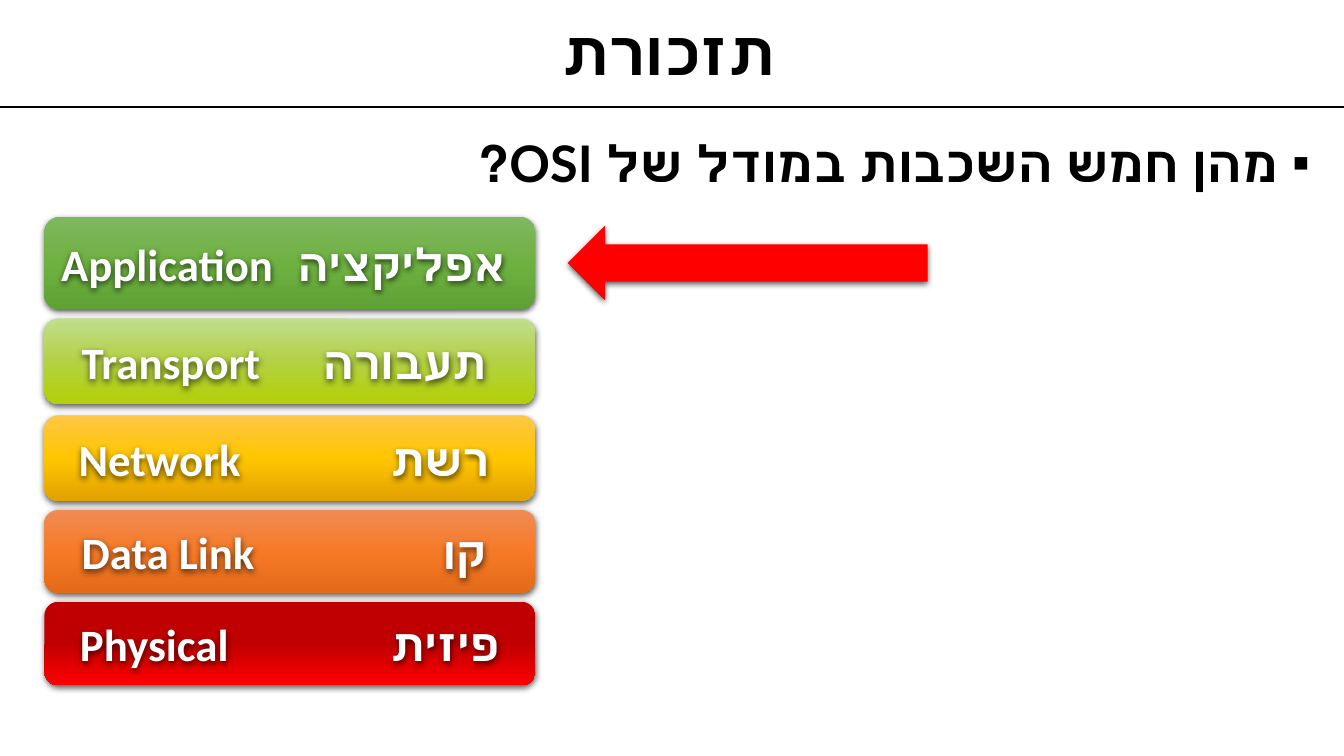
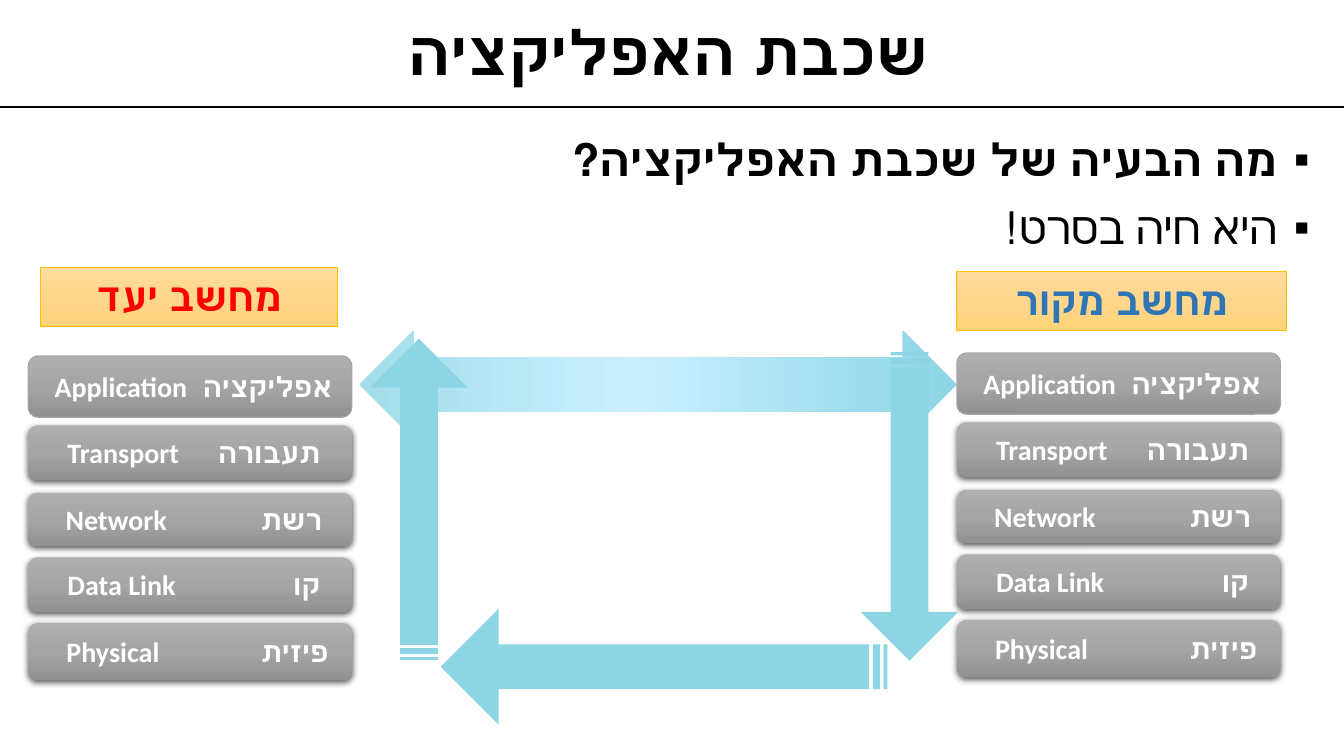
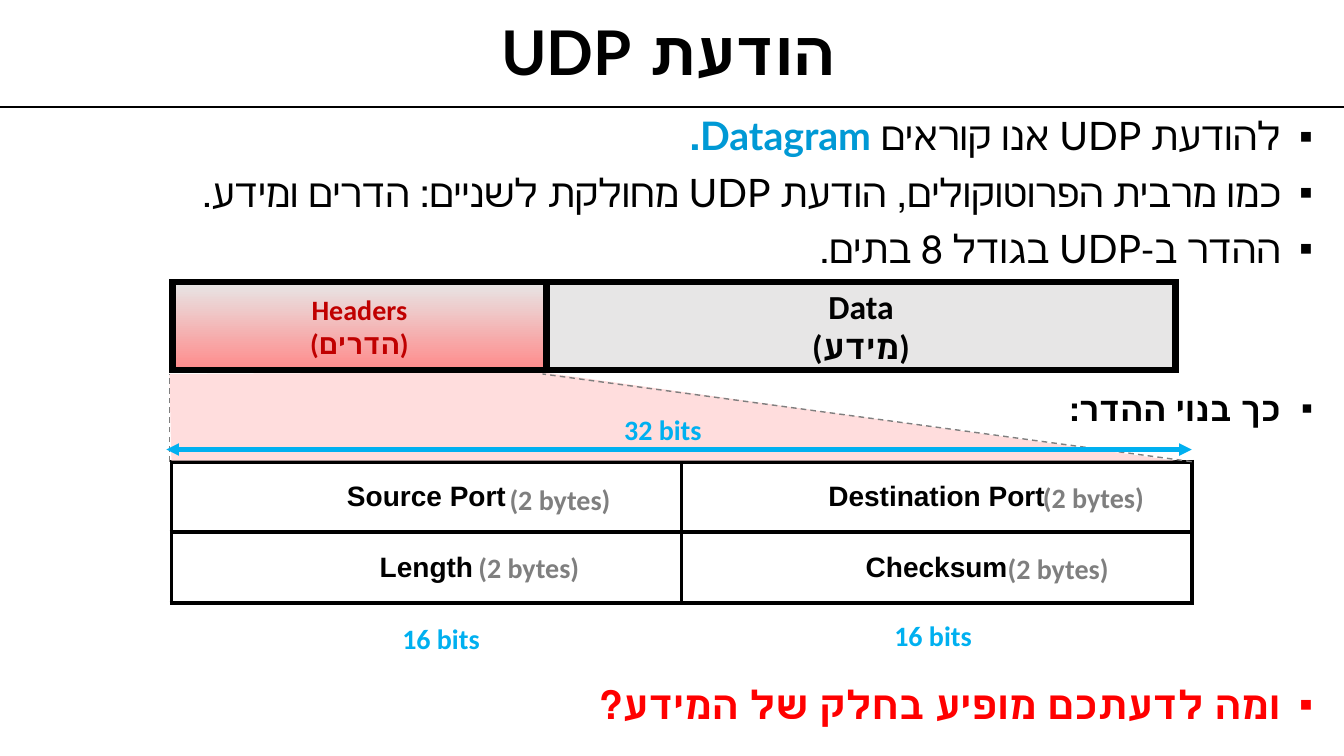
from pptx import Presentation
from pptx.dml.color import RGBColor
from pptx.enum.dml import MSO_LINE
from pptx.enum.shapes import MSO_CONNECTOR, MSO_SHAPE
from pptx.enum.text import MSO_ANCHOR, MSO_AUTO_SIZE, PP_ALIGN
from pptx.oxml.ns import qn
from pptx.util import Inches, Pt
from lxml import etree

LEFT, CENTER, RIGHT = PP_ALIGN.LEFT, PP_ALIGN.CENTER, PP_ALIGN.RIGHT
TOP, MIDDLE = MSO_ANCHOR.TOP, MSO_ANCHOR.MIDDLE
RECTANGLE, ROUNDED = MSO_SHAPE.RECTANGLE, MSO_SHAPE.ROUNDED_RECTANGLE
STRIPED_ARROW = MSO_SHAPE.STRIPED_RIGHT_ARROW
LEFT_ARROW, TWO_WAY_ARROW = MSO_SHAPE.LEFT_ARROW, MSO_SHAPE.LEFT_RIGHT_ARROW
STRAIGHT, DASH = MSO_CONNECTOR.STRAIGHT, MSO_LINE.DASH

COLORS = {
    "black": "000000", "white": "FFFFFF", "red": "FF0000", "dark_red": "C00000",
    "blue": "2E75B5", "term": "0099D5", "bits": "00B0F0", "gray": "7F7F7F",
    "bar_line": "A5A5A5", "gold": "FFC000", "aqua": "8DD5E4",
    "data": "E7E6E6", "zoom": "FFDDDD",
}
GRADIENTS = {
    "green": [(0, "7FB75F"), (50, "6EB141"), (100, "5FA134")],
    "lime": [(0, "C0DE8E"), (50, "B3D143"), (100, "B3D006")],
    "yellow": [(0, "FFC647"), (50, "FFC600"), (100, "E1A101")],
    "orange": [(0, "F08B54"), (50, "F67A26"), (100, "E36A18")],
    "red": [(0, "C00000"), (50, "C00000"), (100, "FF0000")],
    "gray": [(0, "AFAFAF"), (50, "A5A5A5"), (100, "919191")],
    "aqua": [(0, "8DD5E4"), (54, "C9F0FF"), (100, "A3DDE9")],
    "cream": [(0, "FFDC9B"), (50, "FFD68D"), (100, "FFD478")],
    "headers": [(0, "E7E6E6"), (100, "FF8B8B")],
}
SLIDE_WIDTH, SLIDE_HEIGHT = 13.33, 7.5
HEADING_FONT, LABEL_FONT, TABLE_FONT = "Lato", "Calibri", "Arial"

# Content: layer names, with span and right shift in ems
LAYERS = [
    ("Application", "אפליקציה", 9.92, 0.13),
    ("Transport", "תעבורה", 9.03, 0.14),
    ("Network", "רשת", 9.16, 0.14),
    ("Data Link", "קו", 9.03, 0.14),
    ("Physical", "פיזית", 9.36, 0.27),
]
BIG_ROWS = [(2.15, 0.92), (3.16, 0.85), (4.12, 0.85), (5.06, 0.82), (5.97, 0.83)]
SMALL_ROWS = [(3.5, 0.61), (4.19, 0.54), (4.86, 0.53), (5.5, 0.54), (6.15, 0.57)]
BIG_FILLS = ["green", "lime", "yellow", "orange", "red"]
STACKS = [(9.49, 0), (0.28, 0.03)]
COMPUTERS = [
    ("מחשב מקור", "blue", (9.49, 2.69, 3.27, 0.59)),
    ("מחשב יעד", "red", (0.4, 2.65, 2.95, 0.59)),
]
CYCLE_ARROWS = [
    ((4.37, 6.04, 4.43, 1.15), 180),
    ((7.49, 4.54, 3.06, 0.97), 90),
    ((2.56, 4.47, 3.19, 0.97), 270),
]
UDP_BULLETS = [
    [("להודעת UDP אנו קוראים ", {}), ("Datagram.", {"color": "term", "bold": True})],
    "כמו מרבית הפרוטוקולים, הודעת UDP מחולקת לשניים: הדרים ומידע.",
    "ההדר ב-UDP בגודל 8 בתים.",
]
UDP_FIELDS = [["Source Port", "Destination Port"], ["Length", "Checksum"]]
CAPTIONS = [
    ("32 bits", "bits", 5.7, 4.11),
    ("16 bits", "bits", 3.5, 6.18),
    ("16 bits", "bits", 8.38, 6.15),
    ("(2 bytes)", "gray", 4.68, 4.8),
    ("(2 bytes)", "gray", 9.97, 4.78),
    ("(2 bytes)", "gray", 4.37, 5.48),
    ("(2 bytes)", "gray", 9.62, 5.49),
]
MESSAGE_PARTS = [
    (["Data", "(מידע)"], 24, "black", "data", (5.42, 2.8, 6.24, 0.87)),
    (["Headers", "(הדרים)"], 20, "dark_red", GRADIENTS["headers"], (1.71, 2.8, 3.71, 0.87)),
]
ZOOM_OUTLINE = [(1.68, 3.71), (1.7, 4.57), (11.66, 4.57), (5.35, 3.69)]
ZOOM_EDGES = [((1.68, 4.58), (1.68, 3.71)), ((11.82, 4.58), (5.38, 3.71))]


# Formatting helpers
def rgb(name):
    return RGBColor.from_string(COLORS[name])


def add_xml(parent, tag, **attributes):
    return etree.SubElement(parent, qn(tag), attributes)


def format_span(span, size, font, color, bold):
    span.font.size, span.font.name, span.font.bold = Pt(size), font, bold
    span.font.color.rgb = rgb(color)
    if font != HEADING_FONT:
        add_xml(span.font._element, "a:cs", typeface=font)


def write(frame, paragraphs, size=20, font=LABEL_FONT, color="black", bold=True,
          align=CENTER, anchor=MIDDLE, rtl=False, bullet=False, spacing=None,
          before=0, tab=None):
    """Fill a text frame; a paragraph is a string or a list of (text, changes)."""
    frame.word_wrap = True
    frame.auto_size = MSO_AUTO_SIZE.NONE
    frame.vertical_anchor = anchor
    for index, content in enumerate(paragraphs):
        para = frame.add_paragraph() if index else frame.paragraphs[0]
        para.alignment = align
        properties = para._p.get_or_add_pPr()
        properties.set("rtl", "1" if rtl else "0")
        if bullet:
            properties.set("marL", str(Inches(0.32)))
            properties.set("indent", str(-Inches(0.32)))
            add_xml(add_xml(properties, "a:buClr"), "a:srgbClr", val=COLORS[color])
            add_xml(properties, "a:buFont", typeface="Arial")
            add_xml(properties, "a:buChar", char="▪")
        if tab:
            tabs = add_xml(properties, "a:tabLst")
            add_xml(tabs, "a:tab", pos=str(Inches(tab)), algn="r")
        if spacing:
            para.line_spacing = spacing
        para.space_before = Pt(before if index else 0)
        for text, changes in [(content, {})] if isinstance(content, str) else content:
            span = para.add_run()
            span.text = text
            look = {"size": size, "font": font, "color": color, "bold": bold}
            format_span(span, **{**look, **changes})


def paint(shape, fill, angle=90):
    """Fill with a colour name, a list of gradient stops, or nothing."""
    if fill is None:
        shape.fill.background()
    elif isinstance(fill, str):
        shape.fill.solid()
        shape.fill.fore_color.rgb = rgb(fill)
    else:
        shape.fill.gradient()
        shape.fill.gradient_angle = 360 - angle
        stops = shape.element.spPr.find(".//" + qn("a:gsLst"))
        for stop in list(stops):
            stops.remove(stop)
        for position, color in fill:
            stop = add_xml(stops, "a:gs", pos=str(position * 1000))
            add_xml(stop, "a:srgbClr", val=color)


def add_box(page, kind, place, fill=None, line=None, width=0.75, shadow=False,
            angle=90, adjust=()):
    box = page.shapes.add_shape(kind, *map(Inches, place))
    for index, value in enumerate(adjust):
        box.adjustments[index] = value
    paint(box, fill, angle)
    if line:
        box.line.color.rgb = rgb(line)
        box.line.width = Pt(width)
        add_xml(box.line._ln, "a:miter", lim="800000")
    else:
        box.line.fill.background()
    box.shadow.inherit = False
    if shadow:
        effects = box.element.spPr.find(qn("a:effectLst"))
        outer = add_xml(effects, "a:outerShdw", blurRad=str(Pt(4.5)), dist=str(Pt(1.5)),
                        dir="5400000", algn="ctr", rotWithShape="0")
        color = add_xml(outer, "a:srgbClr", val=COLORS["black"])
        add_xml(color, "a:alpha", val="63000")
    return box


def add_text(page, paragraphs, place, **look):
    box = page.shapes.add_textbox(*map(Inches, place))
    write(box.text_frame, paragraphs, **look)


def add_bullets(page, paragraphs, place, **look):
    add_text(page, paragraphs, place, font=HEADING_FONT, align=RIGHT, anchor=TOP,
             rtl=True, bullet=True, before=10, **look)


def add_line(page, start, end, color, width, dash=None, arrows=False):
    line = page.shapes.add_connector(STRAIGHT, *map(Inches, (*start, *end)))
    line.line.color.rgb = rgb(color)
    line.line.width = Pt(width)
    if dash:
        line.line.dash_style = dash
    if arrows:
        for tag in ("a:headEnd", "a:tailEnd"):
            add_xml(line.line._ln, tag, type="triangle")
    add_xml(line.element.spPr, "a:effectLst")


def add_page(deck, title):
    page = deck.slides.add_slide(deck.slide_layouts[5])
    add_line(page, (0, 1.06), (SLIDE_WIDTH, 1.06), "black", 1)
    heading = page.shapes.title
    heading.left, heading.top = Inches(0), Inches(0.04)
    heading.width, heading.height = Inches(13.26), Inches(1.02)
    write(heading.text_frame, [title], size=44, font=HEADING_FONT, rtl=True, spacing=0.9)
    return page


def write_layer(box, layer, width, height, size):
    """English name at the left and Hebrew name at a right tab, centred as a pair."""
    english, hebrew, span, shift = layer
    em = size / 72
    corner = 0.05 * height
    frame = box.text_frame
    frame.margin_left = Inches((width - span * em) / 2 + shift * em - corner)
    frame.margin_right = 0
    write(frame, [f"{english}\t{hebrew}"], size=size, color="white", align=LEFT,
          tab=span * em)


# Slides
def build_reminder(deck):
    page = add_page(deck, "תזכורת")
    add_bullets(page, ["מהן חמש השכבות במודל של OSI?"], (0.17, 1.26, 12.92, 0.8), size=36)
    width = 4.87
    for layer, (top, height), fill in zip(LAYERS, BIG_ROWS, BIG_FILLS):
        add_box(page, ROUNDED, (0.44, top, width, height), GRADIENTS[fill], shadow=True)
        label = add_box(page, ROUNDED, (0.32, top, width, height), shadow=True)
        write_layer(label, layer, width, height, 32)
    add_box(page, LEFT_ARROW, (5.63, 2.24, 3.57, 0.74), "red", shadow=True)


def build_application(deck):
    page = add_page(deck, "שכבת האפליקציה")
    add_bullets(page, ["מה הבעיה של שכבת האפליקציה?", [("היא חיה בסרט!", {"bold": False})]],
                (0.28, 1.26, 12.81, 1.35), size=32)
    add_box(page, TWO_WAY_ARROW, (3.57, 3.28, 5.92, 1.07), GRADIENTS["aqua"], angle=180)
    width = 3.21
    for left, drop in STACKS:
        for index, (layer, (top, height)) in enumerate(zip(LAYERS, SMALL_ROWS)):
            bar = add_box(page, ROUNDED, (left, top + drop, width, height),
                          GRADIENTS["gray"], line=None if index else "bar_line",
                          shadow=index > 0)
            write_layer(bar, layer, width, height, 20)
    for name, color, place in COMPUTERS:
        box = add_box(page, RECTANGLE, place, GRADIENTS["cream"], line="gold")
        write(box.text_frame, [name], size=28, font=HEADING_FONT, color=color,
              anchor=TOP, rtl=True)
    for place, rotation in CYCLE_ARROWS:
        arrow = add_box(page, STRIPED_ARROW, place, "aqua", adjust=(0.386, 0.5))
        arrow.rotation = rotation


def add_fields(page):
    table = page.shapes.add_table(2, 2, *map(Inches, (1.7, 4.58, 10.12, 1.4))).table
    table.first_row = table.horz_banding = False
    for column in table.columns:
        column.width = Inches(5.06)
    for row, names in zip(table.rows, UDP_FIELDS):
        row.height = Inches(0.7)
        for cell, name in zip(row.cells, names):
            properties = cell._tc.get_or_add_tcPr()
            for side in ("a:lnL", "a:lnR", "a:lnT", "a:lnB"):
                border = add_xml(properties, side, w=str(Pt(3)))
                add_xml(add_xml(border, "a:solidFill"), "a:srgbClr", val=COLORS["black"])
            cell.fill.solid()
            cell.fill.fore_color.rgb = rgb("white")
            cell.vertical_anchor = MIDDLE
            para = cell.text_frame.paragraphs[0]
            para.alignment = CENTER
            span = para.add_run()
            span.text = name
            format_span(span, 20, TABLE_FONT, "black", True)


def build_udp(deck):
    page = add_page(deck, "הודעת UDP")
    add_bullets(page, UDP_BULLETS, (0.2, 1.11, 12.92, 1.65), size=28, bold=False, spacing=0.9)
    add_bullets(page, ["כך בנוי ההדר:"], (9.12, 3.84, 4, 0.5), size=24, spacing=0.9)
    add_bullets(page, ["ומה לדעתכם מופיע בחלק של המידע?"], (0.2, 6.75, 12.92, 0.55),
                size=28, color="red", spacing=0.9)
    add_fields(page)

    # Header enlarged into its fields
    points = [(Inches(x), Inches(y)) for x, y in ZOOM_OUTLINE]
    builder = page.shapes.build_freeform(*points[0])
    builder.add_line_segments(points[1:], close=True)
    zoom = builder.convert_to_shape()
    paint(zoom, "zoom")
    zoom.line.fill.background()
    zoom.shadow.inherit = False
    for start, end in ZOOM_EDGES:
        add_line(page, start, end, "gray", 1, dash=DASH)
    add_line(page, (1.65, 4.46), (11.82, 4.46), "bits", 3, arrows=True)

    for lines, size, color, fill, place in MESSAGE_PARTS:
        box = add_box(page, RECTANGLE, place, fill, line="black", width=4.5)
        write(box.text_frame, lines, size=size, color=color)
    for text, color, left, top in CAPTIONS:
        add_text(page, [text], (left, top, 1.75, 0.3), color=color)


def main():
    deck = Presentation()
    deck.slide_width, deck.slide_height = Inches(SLIDE_WIDTH), Inches(SLIDE_HEIGHT)
    build_reminder(deck)
    build_application(deck)
    build_udp(deck)
    deck.save("out.pptx")


if __name__ == "__main__":
    main()
